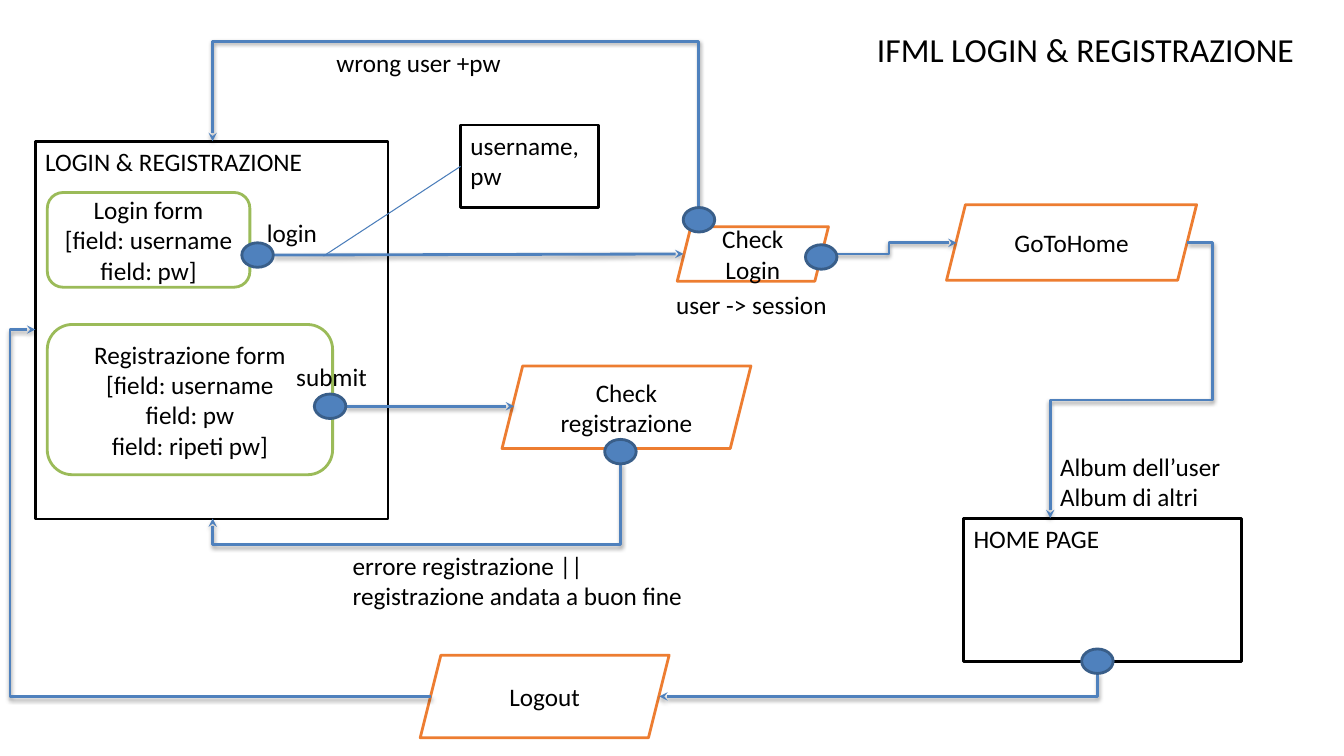
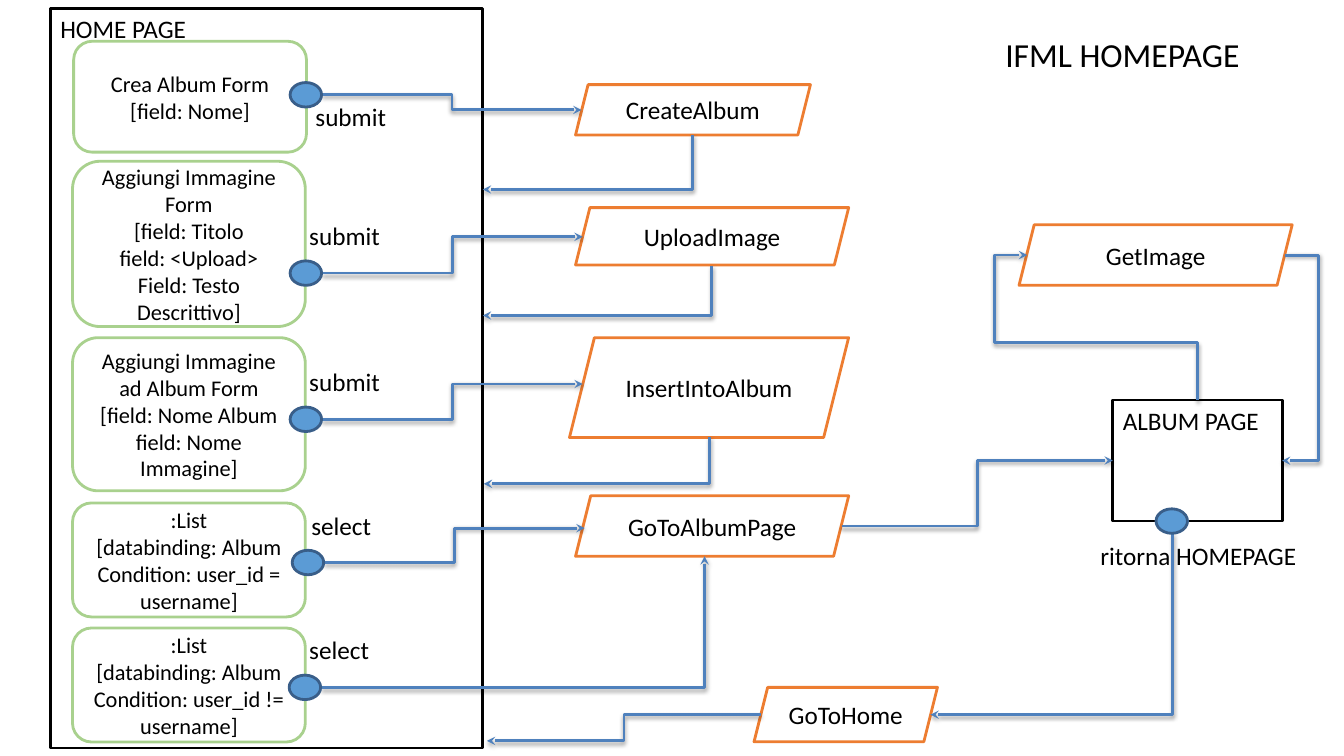
from dataclasses import dataclass
from itertools import chain

from lxml.etree import SubElement
from pptx import Presentation
from pptx.dml.color import RGBColor
from pptx.enum.shapes import MSO_CONNECTOR as Link, MSO_SHAPE as Geometry
from pptx.enum.text import MSO_ANCHOR as Anchor, MSO_AUTO_SIZE as AutoSize, PP_ALIGN as Align
from pptx.oxml.ns import qn
from pptx.util import Pt

FONT = "Calibri"
BLACK = RGBColor(0x00, 0x00, 0x00)
WHITE = RGBColor(0xFF, 0xFF, 0xFF)
ORANGE = RGBColor(0xED, 0x7D, 0x31)
FLOW_BLUE = RGBColor(0x4F, 0x81, 0xBD)
CALLOUT_BLUE = RGBColor(0x4A, 0x7D, 0xBA)
EVENT_EDGE = RGBColor(0x39, 0x5E, 0x89)
OLIVE = RGBColor(0x9B, 0xBB, 0x59)
LIGHT_GREEN = RGBColor(0xA9, 0xD1, 0x8E)
LIGHT_BLUE = RGBColor(0x5B, 0x9B, 0xD5)
EVENT_WIDTH, EVENT_HEIGHT = 22.5, 17.5

Point = tuple[float, float]
Route = list[Point]


@dataclass(frozen=True)
class Box:
    text: str
    left: float
    top: float
    width: float
    height: float


@dataclass(frozen=True)
class Label:
    text: str
    left: float
    top: float
    width: float = 65.5
    height: float = 21.6


@dataclass(frozen=True)
class Diagram:
    title: Box
    form_edge: RGBColor
    event_fill: RGBColor
    form_size: float
    pages: list[Box]
    forms: list[Box]
    actions: list[Box]
    flows: list[Route]
    events: list[Point]
    labels: list[Label]


def step(x0: float, y0: float, x1: float, y1: float) -> Route:
    middle = (x0 + x1) / 2
    return [(x0, y0), (middle, y0), (middle, y1), (x1, y1)]


def down_then_across(x0: float, y0: float, x1: float, y1: float) -> Route:
    return [(x0, y0), (x0, y1), (x1, y1)]


def write(frame, text: str, size: float, align=Align.LEFT, anchor=Anchor.TOP) -> None:
    frame.text = text
    frame.word_wrap = True
    frame.vertical_anchor = anchor
    for paragraph in frame.paragraphs:
        paragraph.alignment = align
        for run in paragraph.runs:
            run.font.name = FONT
            run.font.size = Pt(size)
            run.font.color.rgb = BLACK


def place(slide, geometry, box: Box, fill: RGBColor, edge: RGBColor):
    shape = slide.shapes.add_shape(
        geometry, Pt(box.left), Pt(box.top), Pt(box.width), Pt(box.height))
    shape.shadow.inherit = False
    shape.fill.solid()
    shape.fill.fore_color.rgb = fill
    shape.line.color.rgb = edge
    shape.line.width = Pt(2)
    return shape


def draw_page(slide, page: Box):
    shape = place(slide, Geometry.RECTANGLE, page, WHITE, BLACK)
    write(shape.text_frame, page.text, 18)
    return shape


def draw_node(slide, geometry, node: Box, edge: RGBColor, size: float) -> None:
    shape = place(slide, geometry, node, WHITE, edge)
    write(shape.text_frame, node.text, size, Align.CENTER, Anchor.MIDDLE)


def draw_event(slide, center: Point, fill: RGBColor) -> None:
    x, y = center
    event = Box("", x - EVENT_WIDTH / 2, y - EVENT_HEIGHT / 2, EVENT_WIDTH, EVENT_HEIGHT)
    place(slide, Geometry.OVAL, event, fill, EVENT_EDGE)


def draw_label(slide, label: Label) -> None:
    box = slide.shapes.add_textbox(
        Pt(label.left), Pt(label.top), Pt(label.width), Pt(label.height))
    write(box.text_frame, label.text, 18)


def add_bent(slide, route: Route):
    (x0, y0), (x1, y1) = route[0], route[-1]
    dx, dy = x1 - x0, y1 - y0
    vertical = route[1][0] == x0
    width, height = (abs(dy), abs(dx)) if vertical else (abs(dx), abs(dy))
    left, top = (x0 + x1 - width) / 2, (y0 + y1 - height) / 2
    link = slide.shapes.add_connector(
        Link.ELBOW, Pt(left), Pt(top), Pt(left + width), Pt(top + height))

    if vertical:
        rotation = 90 if dy > 0 else 270
        flips = {"flipV": (dx > 0) == (dy > 0)}
    else:
        rotation = 180 if dx < 0 and dy < 0 else 0
        flips = {"flipH": dx < 0 < dy, "flipV": dy < 0 < dx}
    properties = link.element.spPr
    transform = properties.find(qn("a:xfrm"))
    transform.set("rot", str(rotation * 60000))
    for flip, active in flips.items():
        if active:
            transform.set(flip, "1")

    preset = properties.find(qn("a:prstGeom"))
    preset.set("prst", f"bentConnector{len(route) - 1}")
    guides = preset.find(qn("a:avLst"))
    for index, (x, y) in enumerate(route[1:-2], start=1):
        along_y = vertical == (index % 2 == 1)
        share = (y - y0) / dy if along_y else (x - x0) / dx
        SubElement(guides, qn("a:gd"), name=f"adj{index}", fmla=f"val {round(share * 100000)}")
    return link


def add_straight(slide, start: Point, end: Point):
    return slide.shapes.add_connector(
        Link.STRAIGHT, Pt(start[0]), Pt(start[1]), Pt(end[0]), Pt(end[1]))


def style_link(link, color: RGBColor, width: float):
    link.line.color.rgb = color
    link.line.width = Pt(width)
    return SubElement(link.element.spPr, qn("a:effectLst"))


def draw_flow(slide, route: Route) -> None:
    link = add_straight(slide, *route) if len(route) == 2 else add_bent(slide, route)
    effects = style_link(link, FLOW_BLUE, 2)
    SubElement(link.element.spPr.find(qn("a:ln")), qn("a:tailEnd"), type="stealth")
    shadow = SubElement(effects, qn("a:outerShdw"), blurRad=str(Pt(3.1)), dist=str(Pt(1.6)),
                        dir="5400000", rotWithShape="0")
    shade = SubElement(shadow, qn("a:srgbClr"), val=str(BLACK))
    SubElement(shade, qn("a:alpha"), val="38000")


def draw_diagram(deck, diagram: Diagram):
    slide = deck.slides.add_slide(deck.slide_layouts[5])
    heading, title = diagram.title, slide.shapes.title
    title.left, title.top = Pt(heading.left), Pt(heading.top)
    title.width, title.height = Pt(heading.width), Pt(heading.height)
    write(title.text_frame, heading.text, 24, Align.CENTER)
    title.text_frame.auto_size = AutoSize.SHAPE_TO_FIT_TEXT

    for page in diagram.pages:
        draw_page(slide, page)
    for form in diagram.forms:
        draw_node(slide, Geometry.ROUNDED_RECTANGLE, form, diagram.form_edge, diagram.form_size)
    for action in diagram.actions:
        draw_node(slide, Geometry.PARALLELOGRAM, action, ORANGE, 18)
    for route in diagram.flows:
        draw_flow(slide, route)
    for center in diagram.events:
        draw_event(slide, center, diagram.event_fill)
    for label in diagram.labels:
        draw_label(slide, label)
    return slide


LOGIN = Diagram(
    title=Box("IFML LOGIN & REGISTRAZIONE", 591.1, 17.3, 368.6, 36),
    form_edge=OLIVE,
    event_fill=FLOW_BLUE,
    form_size=18,
    pages=[
        Box("LOGIN & REGISTRAZIONE", 25.2, 100.8, 252, 270),
        Box("HOME PAGE", 688.3, 370.1, 198.7, 102.2),
    ],
    forms=[
        Box("Login form\n[field: username\nfield: pw]", 33.8, 137.5, 144.7, 67.7),
        Box("Registrazione form\n[field: username\nfield: pw\nfield: ripeti pw]",
            33.8, 231.8, 203.8, 107.3),
    ],
    actions=[
        Box("Check\nLogin", 483.8, 162, 108, 38.9),
        Box("GoToHome", 676.1, 146.2, 178.6, 54),
        Box("Check registrazione", 358.6, 261.4, 177.8, 59),
        Box("Logout", 300.2, 468, 177.8, 59),
    ],
    flows=[
        step(586.8, 181.4, 683.3, 173.5),
        [(497.5, 159.8), (499, 159.8), (499, 29.5), (151.9, 29.5), (151.9, 100.8)],
        [(195.8, 182.2), (488.2, 181.4)],
        [(848.2, 173.5), (866.2, 173.5), (866.2, 285.8), (750.2, 285.8), (750.2, 370.1)],
        [(247, 290.2), (367.2, 290.2)],
        [(443.5, 330.5), (443.5, 388.8), (151.9, 388.8), (151.9, 370.4)],
        down_then_across(784.1, 481, 470.9, 497.5),
        [(308.2, 497.5), (7.2, 497.5), (7.2, 235.4), (25.2, 235.4)],
    ],
    events=[(184, 182.2), (586.6, 183.6), (499.3, 157),
            (235.8, 290.2), (443.2, 322.6), (783.9, 472.3)],
    labels=[
        Label("login", 183.6, 151.9),
        Label("wrong user +pw", 233.3, 30.2, 133.9, 31.7),
        Label("user -> session", 475.9, 203, 122.4),
        Label("Album dell’user", 750.2, 319, 149),
        Label("Album di altri", 750.2, 340.6, 149),
        Label("submit", 204.5, 254.2),
        Label("errore registrazione ||\nregistrazione andata a buon fine",
              244.8, 389.5, 284.4, 31.7),
    ],
)
CREDENTIALS = Box("username, pw", 329, 89.3, 98.6, 59)
CALLOUT_TARGET = (231.1, 182.9)

HOMEPAGE = Diagram(
    title=Box("IFML HOMEPAGE", 643.7, 20.9, 316.1, 36),
    form_edge=LIGHT_GREEN,
    event_fill=LIGHT_BLUE,
    form_size=16,
    pages=[
        Box("HOME PAGE", 36, 5.8, 308.9, 528.5),
        Box("ALBUM PAGE", 794.9, 285.8, 121, 86.4),
    ],
    forms=[
        Box("Crea Album Form\n[field: Nome]", 52.6, 29.5, 166.3, 79.2),
        Box("Aggiungi Immagine Form\n[field: Titolo\nfield: <Upload>\n"
            "Field: Testo Descrittivo]", 51.8, 115.2, 166.3, 118.1),
        Box("Aggiungi Immagine ad Album Form\n[field: Nome Album\nfield: Nome Immagine]",
            51.8, 241.2, 166.3, 109.4),
        *(Box(f":List\n[databinding: Album Condition: user_id {test} username]",
              51.8, top, 166.3, 81.4) for test, top in (("=", 359.3), ("!=", 448.6))),
    ],
    actions=[
        Box("CreateAlbum", 411.1, 60.5, 167.8, 36),
        Box("UploadImage", 411.1, 148.3, 195.1, 41),
        Box("InsertIntoAlbum", 406.8, 241.2, 199.4, 71.3),
        Box("GoToAlbumPage", 411.1, 354.2, 195.1, 43.2),
        Box("GoToHome", 538.6, 491, 131, 38.9),
        Box("GetImage", 727.9, 160.6, 195.1, 43.2),
    ],
    flows=list(chain(
        (step(*ends) for ends in (
            (230.4, 67.7, 415.4, 78.5),
            (230.4, 195.1, 416.2, 169.2),
            (230.4, 299.5, 416.2, 274.3),
            (231.8, 401.8, 417.6, 377.3),
            (601.2, 375.8, 794.9, 329),
            (543.6, 510.5, 347.8, 529.2))),
        (down_then_across(*ends) for ends in (
            (494.6, 96.5, 344.9, 135.4),
            (508.3, 190.1, 344.9, 225.4),
            (506.9, 312.5, 345.6, 345.6),
            (837.4, 380.9, 664.6, 510.5))),
        [
            [(229.7, 491), (503.3, 491), (503.3, 397.4)],
            [(855.4, 285.8), (855.4, 244.8), (710.6, 244.8), (710.6, 182.2), (733.7, 182.2)],
            [(918, 182.2), (941.8, 182.2), (941.8, 329), (915.8, 329)],
        ],
    )),
    events=[(218.5, 67.7), (218.5, 195.1), (218.5, 299.5),
            (220, 401.8), (217.8, 491), (837, 372.2)],
    labels=[
        Label("submit", 218.2, 69.1),
        Label("submit", 213.8, 154.1),
        Label("submit", 213.8, 257.8),
        Label("select", 215.3, 360.7),
        Label("select", 213.8, 449.3),
        Label("ritorna HOMEPAGE", 779, 382.3, 180, 50.4),
    ],
)


def main() -> None:
    deck = Presentation()
    deck.slide_width, deck.slide_height = Pt(960), Pt(540)

    login_slide = draw_diagram(deck, LOGIN)
    credentials = draw_page(login_slide, CREDENTIALS)
    callout = add_straight(login_slide, (CREDENTIALS.left, CREDENTIALS.top), CALLOUT_TARGET)
    callout.begin_connect(credentials, 1)
    style_link(callout, CALLOUT_BLUE, 0.75)

    draw_diagram(deck, HOMEPAGE)
    deck.save("out.pptx")


if __name__ == "__main__":
    main()
